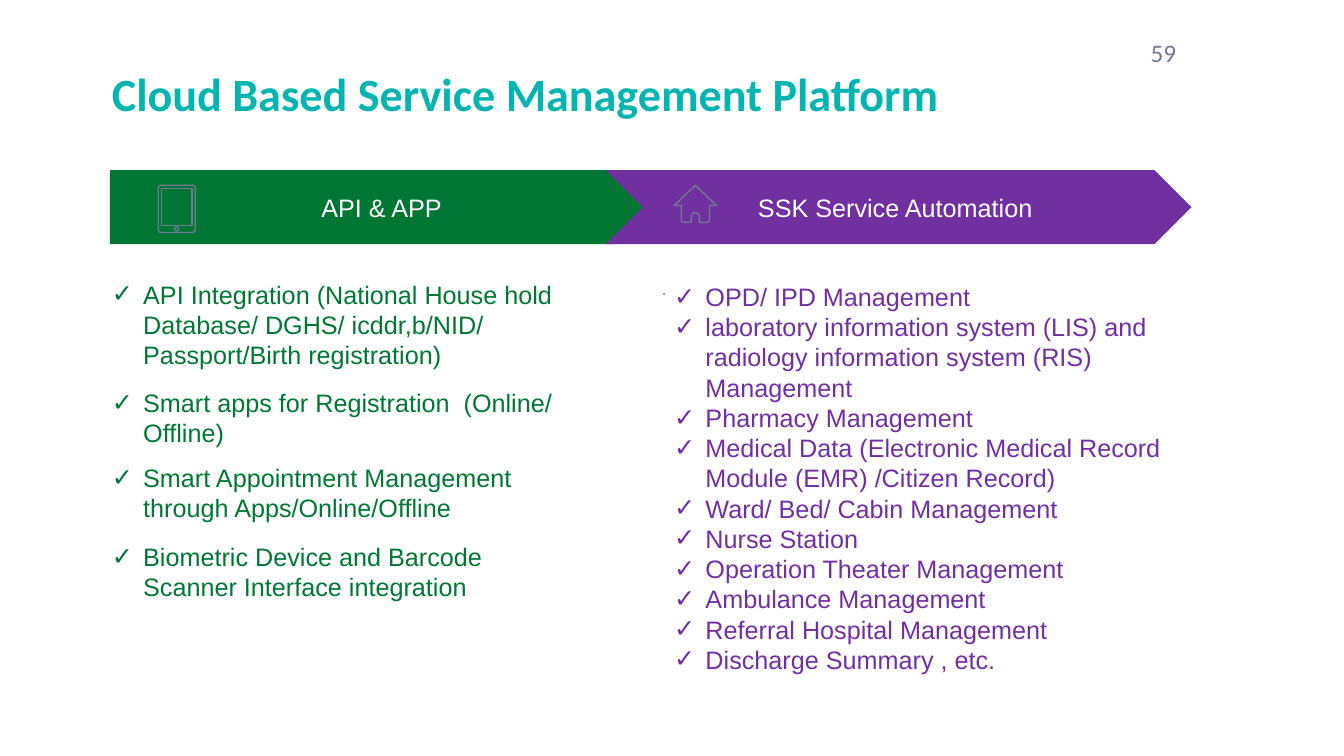
from math import cos, radians, sin

from lxml.etree import SubElement
from pptx import Presentation
from pptx.dml.color import RGBColor
from pptx.enum.shapes import MSO_SHAPE
from pptx.enum.text import MSO_ANCHOR, PP_ALIGN
from pptx.oxml.ns import qn
from pptx.util import Cm, Pt

COLORS = {"green": "007635", "purple": "7030A0", "teal": "00B4B0",
          "grey": "747993", "white": "FFFFFF"}
BANNER_TOP, BANNER_HEIGHT = 4.29, 1.86
ICON_TOP = 4.67
INDENT = 0.79

# Each item is its text and the space before it in points.
API_ITEMS = [
    ("API Integration (National House hold Database/ DGHS/ icddr,b/NID/ "
     "Passport/Birth registration)", 0),
    ("Smart apps for Registration  (Online/ Offline)", 12.5),
    ("Smart Appointment Management through Apps/Online/Offline", 10.5),
    ("Biometric Device and Barcode Scanner Interface integration", 13),
]
SERVICE_ITEMS = [(text, 0) for text in (
    "OPD/ IPD Management",
    "laboratory information system (LIS) and radiology information system (RIS) Management",
    "Pharmacy Management",
    "Medical Data (Electronic Medical Record Module (EMR) /Citizen Record)",
    "Ward/ Bed/ Cabin Management",
    "Nurse Station",
    "Operation Theater Management",
    "Ambulance Management",
    "Referral Hospital Management",
    "Discharge Summary , etc.",
)]


def color(name):
    return RGBColor.from_string(COLORS[name])


def write(p, text, *, ink, size=18, font="Arial", bold=False,
          align=PP_ALIGN.LEFT, before=0, spacing=None):
    p.alignment = align
    if before:
        p.space_before = Pt(before)
    if spacing:
        p.line_spacing = spacing
    r = p.add_run()
    r.text = text
    r.font.name, r.font.size, r.font.bold = font, Pt(size), bold
    r.font.color.rgb = color(ink)


def add_text_frame(s, box, wrap=True, anchor=MSO_ANCHOR.TOP):
    tf = s.shapes.add_textbox(*map(Cm, box)).text_frame
    tf.word_wrap = wrap
    tf.vertical_anchor = anchor
    return tf


def add_label(s, box, text, wrap=True, **style):
    write(add_text_frame(s, box, wrap).paragraphs[0], text, **style)


def add_banner(s, box, preset, text, fill, align, margin_left=0.25):
    sp = s.shapes.add_shape(preset, *map(Cm, box))
    sp.shadow.inherit = False
    sp.fill.solid()
    sp.fill.fore_color.rgb = color(fill)
    sp.line.fill.background()
    tf = sp.text_frame
    tf.word_wrap = True
    tf.vertical_anchor = MSO_ANCHOR.MIDDLE
    tf.margin_left, tf.margin_right = Cm(margin_left), Cm(0.25)
    write(tf.paragraphs[0], text, ink="white", align=align)


def add_check(p):
    """Give the paragraph a hanging check mark."""
    pPr = p._p.get_or_add_pPr()
    pPr.set("marL", str(Cm(INDENT)))
    pPr.set("indent", str(-Cm(INDENT)))
    SubElement(pPr, qn("a:buFont")).set("typeface", "Arial")
    SubElement(pPr, qn("a:buChar")).set("char", "✓")


def add_checklist(s, box, items, ink, anchor=MSO_ANCHOR.TOP):
    tf = add_text_frame(s, box, anchor=anchor)
    for i, (text, before) in enumerate(items):
        p = tf.add_paragraph() if i else tf.paragraphs[0]
        add_check(p)
        write(p, text, ink=ink, before=before)


def arc(x, y, radius, start, end, steps):
    angles = [radians(start + (end - start) * i / steps) for i in range(steps + 1)]
    return [(x + radius * cos(a), y + radius * sin(a)) for a in angles]


def add_outline(s, left, top, contours):
    """Draw closed contours, in cm from the given corner, as one line shape."""
    paths = [[(Cm(left + x), Cm(top + y)) for x, y in c] for c in contours]
    builder = s.shapes.build_freeform(*paths[0][0])
    for i, points in enumerate(paths):
        if i:
            builder.move_to(*points[0])
        builder.add_line_segments(points[1:], close=True)
    sp = builder.convert_to_shape()
    sp.shadow.inherit = False
    sp.fill.background()
    sp.line.color.rgb = color("grey")
    sp.line.width = Pt(0.96)


def add_tablet(s, left, top, width=0.93, height=1.19):
    r, edge = 0.07, 0.08
    corners = [(width - r, height - r), (r, height - r), (r, r), (width - r, r)]
    case = [pt for i, (x, y) in enumerate(corners)
            for pt in arc(x, y, r, 90 * i, 90 * (i + 1), 4)]
    button = arc(width / 2, 1.1, 0.05, 0, 360, 16)
    screen = [(edge, edge), (width - edge, edge), (width - edge, 1.02), (edge, 1.02)]
    add_outline(s, left, top, [case, button, screen])


def add_house(s, left, top, width=1.07, height=0.93):
    mid, eaves, wall, r = width / 2, 0.51, 0.18, 0.06
    door = arc(mid, 0.79, 0.1, 180, 360, 8)
    add_outline(s, left, top, [[
        (mid, 0), (0, eaves), (wall, eaves),
        *arc(wall + r, height - r, r, 180, 90, 4),
        (door[0][0], height), *door, (door[-1][0], height),
        *arc(width - wall - r, height - r, r, 90, 0, 4),
        (width - wall, eaves), (width, eaves)]])


def add_header(s):
    add_label(s, (28.75, 0.81, 2.34, 2.13), "59", ink="grey", font="Calibri")
    add_label(s, (2.57, 1.52, 24.54, 1.68), "Cloud Based Service Management Platform",
              wrap=False, ink="teal", size=33, font="Calibri", bold=True)


def add_api_column(s):
    add_banner(s, (2.77, BANNER_TOP, 13.64, BANNER_HEIGHT), MSO_SHAPE.PENTAGON,
               "API & APP", "green", PP_ALIGN.LEFT, margin_left=5.33)
    add_checklist(s, (2.57, 6.91, 11.89, 9.09), API_ITEMS, "green")
    add_tablet(s, 3.99, ICON_TOP)


def add_service_column(s):
    add_banner(s, (15.27, BANNER_TOP, 14.76, BANNER_HEIGHT), MSO_SHAPE.CHEVRON,
               "SSK Service Automation ", "purple", PP_ALIGN.CENTER)
    add_label(s, (16.43, 6.83, 12.42, 7.26), ".", ink="grey", size=12, spacing=1.15)
    add_checklist(s, (16.74, 6.91, 14.17, 10.26), SERVICE_ITEMS, "purple",
                  MSO_ANCHOR.MIDDLE)
    add_house(s, 16.99, ICON_TOP)


def main():
    prs = Presentation()
    prs.slide_width, prs.slide_height = Cm(33.87), Cm(19.05)
    s = prs.slides.add_slide(prs.slide_layouts[6])
    add_header(s)
    add_api_column(s)
    add_service_column(s)
    prs.save("out.pptx")


if __name__ == "__main__":
    main()
